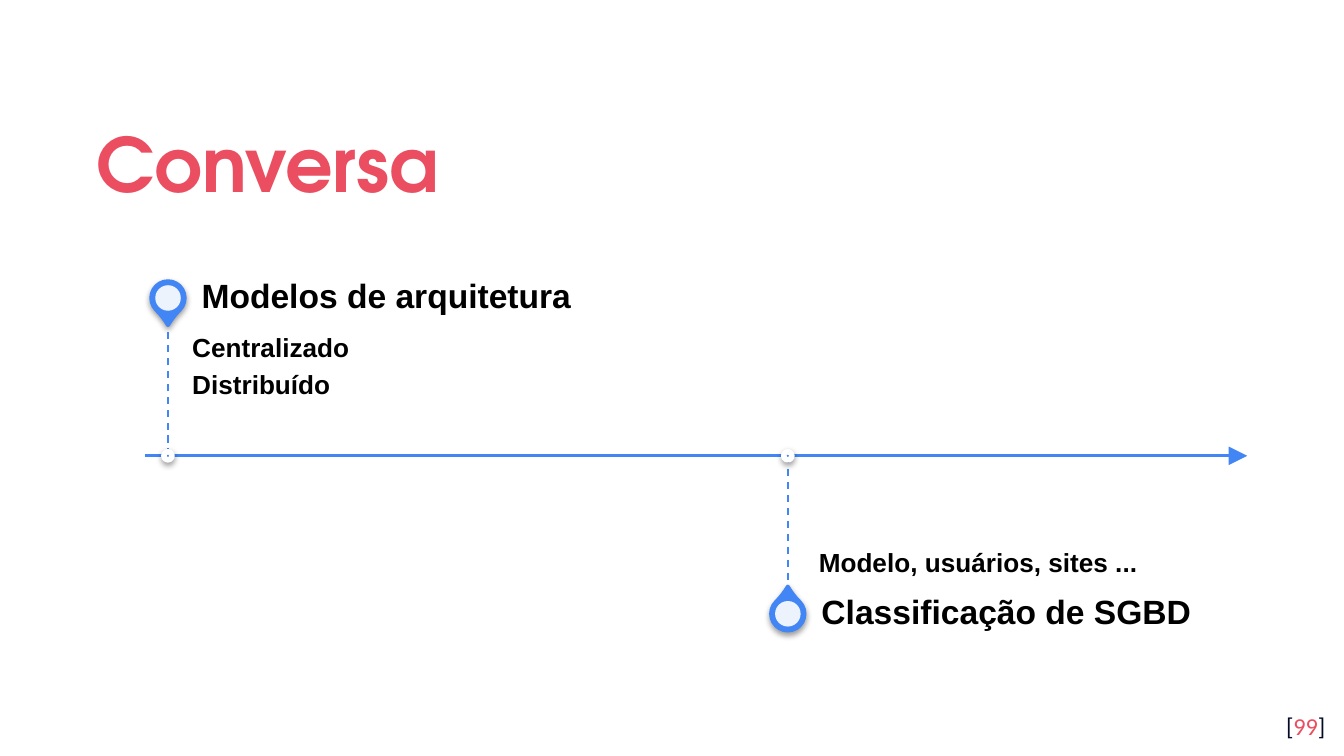
from lxml.etree import SubElement
from pptx import Presentation
from pptx.dml.color import RGBColor
from pptx.enum.dml import MSO_LINE
from pptx.enum.shapes import MSO_CONNECTOR, MSO_SHAPE
from pptx.enum.text import MSO_ANCHOR as Anchor, PP_ALIGN as Align
from pptx.oxml.ns import qn
from pptx.util import Inches, Pt

BLUE = RGBColor(0x42, 0x85, 0xF4)
RED = RGBColor(0xEA, 0x4E, 0x60)
NAVY = RGBColor(0x04, 0x0A, 0x24)
BLACK = RGBColor(0, 0, 0)
WHITE = RGBColor(0xFF, 0xFF, 0xFF)

# Grid: 100 columns by 56.25 rows, each a tenth of an inch
COLUMNS, ROWS = 100, 56.25
AXIS_ROW = 33.92
STEM = 10          # rows from the axis to the tip of a pin
PIN_OFFSET = 11.75  # rows from the axis to the centre of a pin
LABEL_GAP, LABEL_WIDTH, HEADING_HEIGHT = 1.8, 29.8, 3.5

HEADING = {"name": "Arial", "size": Pt(18), "bold": True}
DETAIL = {"name": "Arial", "size": Pt(14), "bold": True}
TITLE = {"name": "TeX Gyre Adventor", "size": Pt(40), "bold": True}
PAGE = {"name": "Calibri", "size": Pt(13)}
LABEL_SPACING = {"line_spacing": 0.9, "space_after": Pt(4.9)}


def grid(*cells):
    return [Inches(cell / 10) for cell in cells]


def apply(target, values):
    for name, value in values.items():
        setattr(target, name, value)


class TimelineSlide:
    def __init__(self, deck):
        self.slide = deck.slides.add_slide(deck.slide_layouts[6])
        self.shapes = self.slide.shapes

    def text(self, area, paragraphs, font, insets=(1, 1, 1, 1),
             anchor=Anchor.TOP, spacing=None):
        """Each paragraph is a list of (text, colour) runs."""
        frame = self.shapes.add_textbox(*grid(*area)).text_frame
        sides = ("margin_left", "margin_top", "margin_right", "margin_bottom")
        apply(frame, dict(zip(sides, grid(*insets))))
        apply(frame, {"word_wrap": True, "vertical_anchor": anchor})
        for index, runs in enumerate(paragraphs):
            paragraph = frame.add_paragraph() if index else frame.paragraphs[0]
            apply(paragraph, spacing or {})
            for words, colour in runs:
                run = paragraph.add_run()
                run.text = words
                apply(run.font, font)
                run.font.color.rgb = colour

    def line(self, start, end, width, dash=None, arrow=False):
        connector = self.shapes.add_connector(
            MSO_CONNECTOR.STRAIGHT, *grid(*start, *end))
        connector.line.color.rgb = BLUE
        apply(connector.line, {"width": Pt(width), "dash_style": dash})
        if arrow:
            SubElement(connector.line._get_or_add_ln(), qn("a:tailEnd"),
                       type="triangle", w="lg", len="lg")
        SubElement(connector._element.spPr, qn("a:effectLst"))

    def mark(self, kind, centre, size, fill, outline=None, width=0, shadow=False):
        x, y = centre
        shape = self.shapes.add_shape(
            kind, *grid(x - size / 2, y - size / 2, size, size))
        shape.shadow.inherit = False
        shape.fill.solid()
        shape.fill.fore_color.rgb = fill
        if outline is None:
            shape.line.fill.background()
        else:
            shape.line.color.rgb = outline
            shape.line.width = Pt(width)
        if shadow:
            effects = shape._element.spPr.find(qn("a:effectLst"))
            outer = SubElement(effects, qn("a:outerShdw"), blurRad="40000",
                               dist="20000", dir="5400000", rotWithShape="0")
            black = SubElement(outer, qn("a:srgbClr"), val=str(BLACK))
            SubElement(black, qn("a:alpha"), val="38000")
        return shape

    def pin(self, centre, rotation):
        drop = self.mark(MSO_SHAPE.TEAR, centre, 2.5, BLUE, BLUE, 2, shadow=True)
        drop.rotation = rotation
        drop.adjustments[0] = 1.15
        eye = self.mark(MSO_SHAPE.OVAL, centre, 1.9, WHITE)
        tint = eye._element.spPr.find(qn("a:solidFill"))[0]
        SubElement(tint, qn("a:alpha"), val="90000")

    def milestone(self, column, heading, details, above, indent=0):
        side = -1 if above else 1
        tip = AXIS_ROW + side * STEM
        left = column + LABEL_GAP
        self.pin((column, AXIS_ROW + side * PIN_OFFSET), 135 if above else 315)
        # Details sit between the axis and the heading
        self.text((left, min(tip, AXIS_ROW), LABEL_WIDTH, STEM),
                  [[(detail, BLACK)] for detail in details], DETAIL,
                  (indent, 1, 0, 1.5) if above else (indent, 1.5, 1, 1.15),
                  Anchor.TOP if above else Anchor.BOTTOM, LABEL_SPACING)
        heading_top = tip - HEADING_HEIGHT if above else tip
        self.text((left, heading_top, LABEL_WIDTH, HEADING_HEIGHT),
                  [[(heading, BLACK)]], HEADING, (0.7, 0, 1.2, 0),
                  Anchor.MIDDLE, LABEL_SPACING)
        self.line((column, AXIS_ROW), (column, tip), 1, MSO_LINE.DASH)
        self.mark(MSO_SHAPE.OVAL, (column, AXIS_ROW), 0.6, BLUE, WHITE, 3, shadow=True)


def main():
    deck = Presentation()
    deck.slide_width, deck.slide_height = grid(COLUMNS, ROWS)
    page = TimelineSlide(deck)

    # Title and page number
    page.text((6.2, 7, 87.7, 9.2), [[("Conversa", RED)]], TITLE,
              anchor=Anchor.MIDDLE, spacing={"line_spacing": 1.15})
    page.text((93.6, 51.95, 6, 4.3), [[("[", NAVY), ("99", RED), ("]", NAVY)]],
              PAGE, spacing={"alignment": Align.RIGHT})

    # Timeline axis and its milestones
    page.line((10.8, AXIS_ROW), (92.8, AXIS_ROW), 1.5, arrow=True)
    page.milestone(12.5, "Modelos de arquitetura",
                   ["Centralizado", "Distribuído"], above=True)
    page.milestone(58.62, "Classificação de SGBD",
                   ["Modelo, usuários, sites ..."], above=False, indent=0.5)

    deck.save("out.pptx")


if __name__ == "__main__":
    main()
